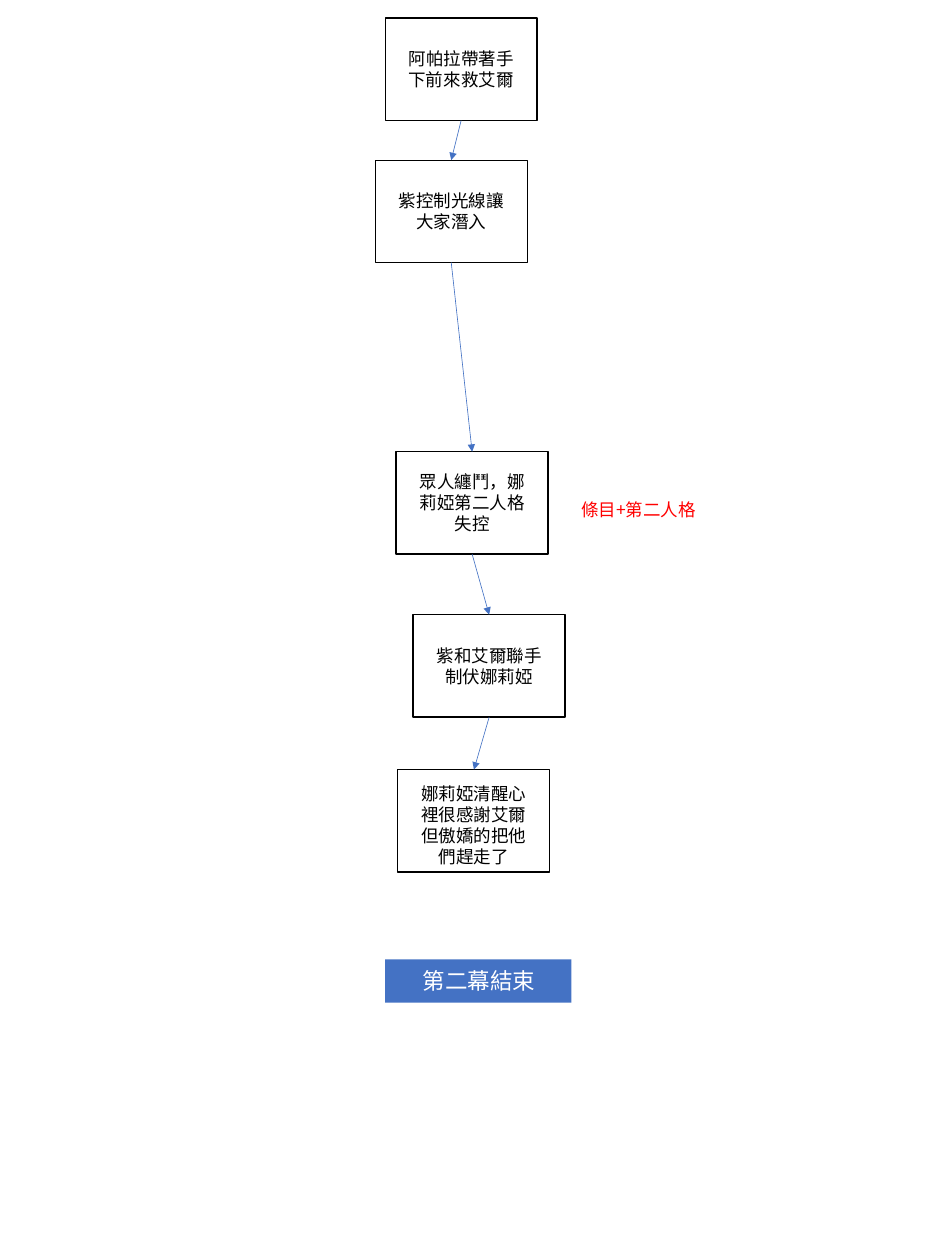
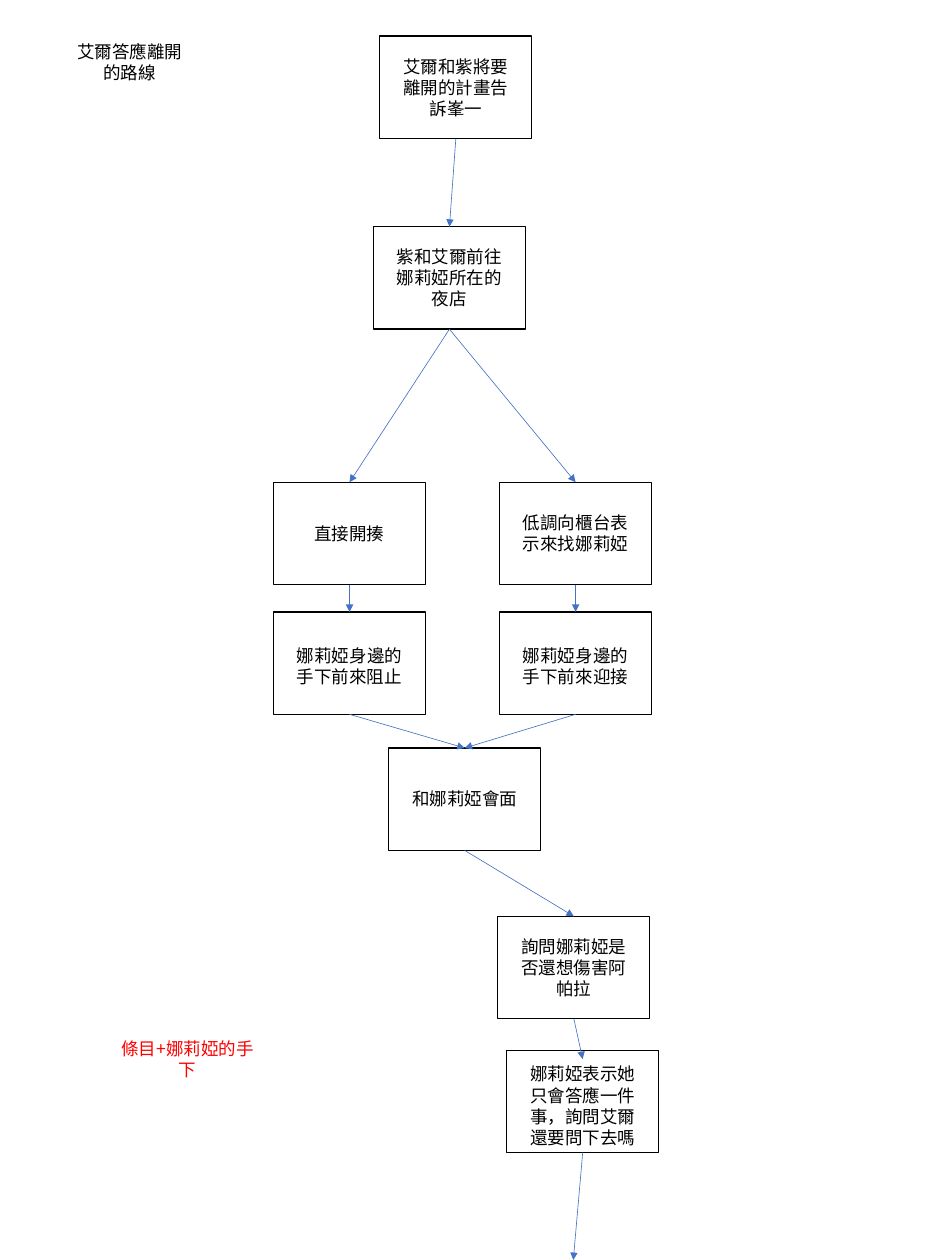
from itertools import pairwise
from math import ceil

from lxml.etree import SubElement
from pptx import Presentation
from pptx.dml.color import RGBColor
from pptx.enum.shapes import MSO_CONNECTOR as Connector, MSO_SHAPE as Shape
from pptx.enum.text import MSO_AUTO_SIZE as AutoSize, PP_ALIGN as Align
from pptx.oxml.ns import qn
from pptx.util import Cm, Pt

WHITE = RGBColor(0xFF, 0xFF, 0xFF)
BLACK = RGBColor(0x00, 0x00, 0x00)
BLUE = RGBColor(0x44, 0x72, 0xC4)
RED = RGBColor(0xFF, 0x00, 0x00)
FONT = "Noto Sans CJK SC"
STEP_WIDTH, STEP_HEIGHT = 4.29, 2.89
MARGIN = 0.25
CHARS_PER_LINE = 6
TOP, BOTTOM = 0, 2


def text_height(lines):
    """Return the height in cm of a 14 pt text box with this many lines."""
    return 0.27 + 0.59 * lines


def add_text(shapes, text, left, top, width, height, *, size=14, color=BLACK,
             align=Align.CENTER, wrap=True):
    """Add one paragraph of text in its own text box."""
    box = shapes.add_textbox(Cm(left), Cm(top), Cm(width), Cm(height))
    frame = box.text_frame
    frame.word_wrap = wrap
    frame.auto_size = AutoSize.SHAPE_TO_FIT_TEXT
    para = frame.paragraphs[0]
    para.alignment = align
    span = para.add_run()
    span.text = text
    span.font.size = Pt(size)
    span.font.name = FONT
    span.font.color.rgb = color
    SubElement(span._r.get_or_add_rPr(), qn("a:ea"), typeface=FONT)
    return box


def add_panel(shapes, left, top, width, height, fill, line=None):
    """Add a plain rectangle, outlined when a line colour is given."""
    panel = shapes.add_shape(Shape.RECTANGLE, Cm(left), Cm(top), Cm(width), Cm(height))
    panel.shadow.inherit = False
    panel.fill.solid()
    panel.fill.fore_color.rgb = fill
    if line is None:
        panel.line.fill.background()
    else:
        panel.line.color.rgb = line
        panel.line.width = Pt(1)
    return panel


def add_step(page, text, left, top, nudge=0):
    """Add a story step as a grouped frame and caption, and return both."""
    group = page.shapes.add_group_shape()
    frame = add_panel(group.shapes, left, top, STEP_WIDTH, STEP_HEIGHT, WHITE, BLACK)
    height = text_height(ceil(len(text) / CHARS_PER_LINE))
    caption = add_text(group.shapes, text, left + MARGIN,
                       top + (STEP_HEIGHT - height) / 2 + nudge,
                       STEP_WIDTH - 2 * MARGIN, height)
    return frame, caption


def add_arrow(page, start, end=None, end_point=(0, 0)):
    """Draw an arrow from the foot of one shape to the head of another, or to a point."""
    x, y = end_point
    arrow = page.shapes.add_connector(Connector.STRAIGHT, 0, 0, Cm(x), Cm(y))
    arrow.begin_connect(start, BOTTOM)
    if end is not None:
        arrow.end_connect(end, TOP)
    arrow.line.color.rgb = BLUE
    arrow.line.width = Pt(0.5)
    SubElement(arrow.line._get_or_add_ln(), qn("a:tailEnd"), type="triangle")
    SubElement(arrow._element.spPr, qn("a:effectLst"))


def add_end_banner(page, text, left, top, width, height):
    """Add the blue banner that closes an act."""
    group = page.shapes.add_group_shape()
    add_panel(group.shapes, left, top, width, height, BLUE)
    add_text(group.shapes, text, left + 0.81, top + 0.1, 3.71, 1.02,
             size=18, color=WHITE, align=Align.LEFT, wrap=False)


def build_rescue(page):
    """Build the rescue that ends the second act."""
    steps = [
        ("阿帕拉帶著手下前來救艾爾", 10.87, 0.51, 0),
        ("紫控制光線讓大家潛入", 10.59, 4.52, 0),
        ("眾人纏鬥，娜莉婭第二人格失控", 11.18, 12.75, 0),
        ("紫和艾爾聯手制伏娜莉婭", 11.66, 17.35, 0),
        ("娜莉婭清醒心裡很感謝艾爾但傲嬌的把他們趕走了", 11.23, 21.72, 0.12),
    ]
    frames = [add_step(page, *step)[0] for step in steps]
    for start, end in pairwise(frames):
        add_arrow(page, start, end)
    add_end_banner(page, "第二幕結束", 10.87, 27.08, 5.26, 1.22)
    add_text(page.shapes, "條目+第二人格", 16.15, 13.97, 6.12, text_height(1),
             color=RED, align=Align.LEFT)


def build_departure(page):
    """Build the route in which the hero agrees to leave."""
    left, right, branch, reply = 7.72, 14.1, 13.61, 17.27
    plan, _ = add_step(page, "艾爾和紫將要離開的計畫告訴峯一", 10.72, 1.02)
    add_text(page.shapes, "艾爾答應離開的路線", 1.73, 1.02, 3.86, text_height(2))
    club, _ = add_step(page, "紫和艾爾前往娜莉婭所在的夜店", 10.54, 6.4)
    ask, _ = add_step(page, "低調向櫃台表示來找娜莉婭", right, branch)
    fight, _ = add_step(page, "直接開揍", left, branch)
    stop, _ = add_step(page, "娜莉婭身邊的手下前來阻止", left, reply, 0.08)
    welcome, _ = add_step(page, "娜莉婭身邊的手下前來迎接", right, reply, 0.08)
    meeting, _ = add_step(page, "和娜莉婭會面", 10.97, 21.11)
    question, _ = add_step(page, "詢問娜莉婭是否還想傷害阿帕拉", 14.05, 25.86)
    answer, answer_caption = add_step(
        page, "娜莉婭表示她只會答應一件事，詢問艾爾還要問下去嗎", 14.3, 29.64, 0.12)
    links = [(plan, club), (club, fight), (club, ask), (fight, stop), (ask, welcome),
             (stop, meeting), (welcome, meeting), (meeting, question),
             (question, answer_caption)]
    for start, end in links:
        add_arrow(page, start, end)
    add_arrow(page, answer, end_point=(16.18, 35.56))
    add_text(page.shapes, "條目+娜莉婭的手下", 3.15, 29.16, STEP_WIDTH, text_height(2),
             color=RED)


def main():
    """Build the deck and save it."""
    deck = Presentation()
    deck.slide_width, deck.slide_height = Cm(26.67), Cm(35.56)
    for build in (build_rescue, build_departure):
        build(deck.slides.add_slide(deck.slide_layouts[6]))
    deck.save("out.pptx")


main()
